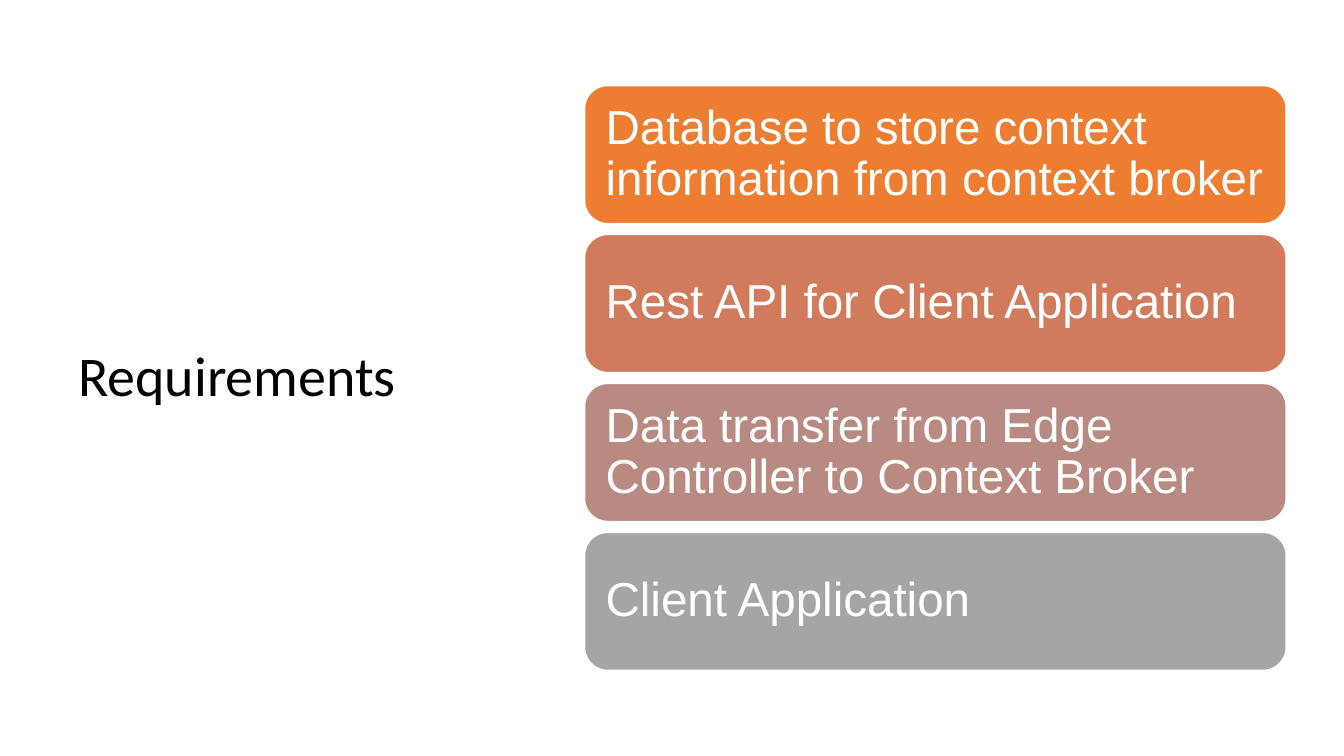
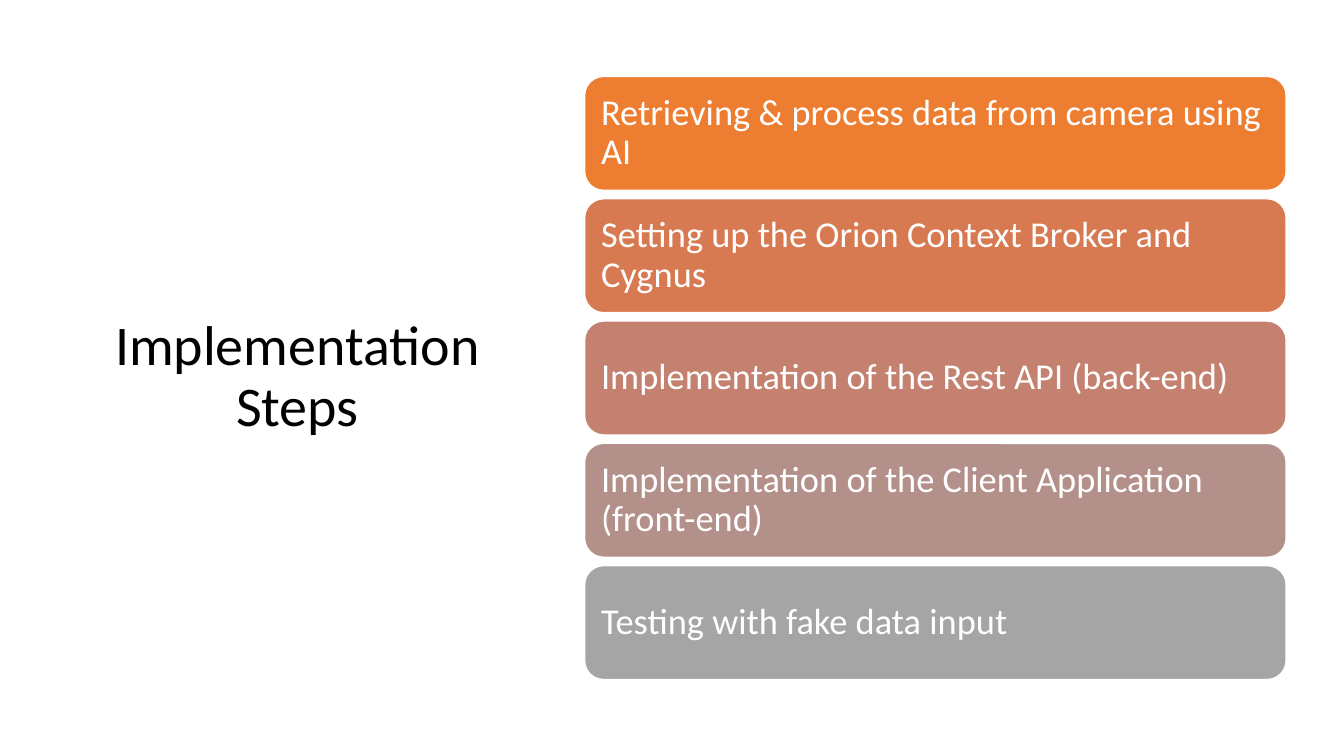
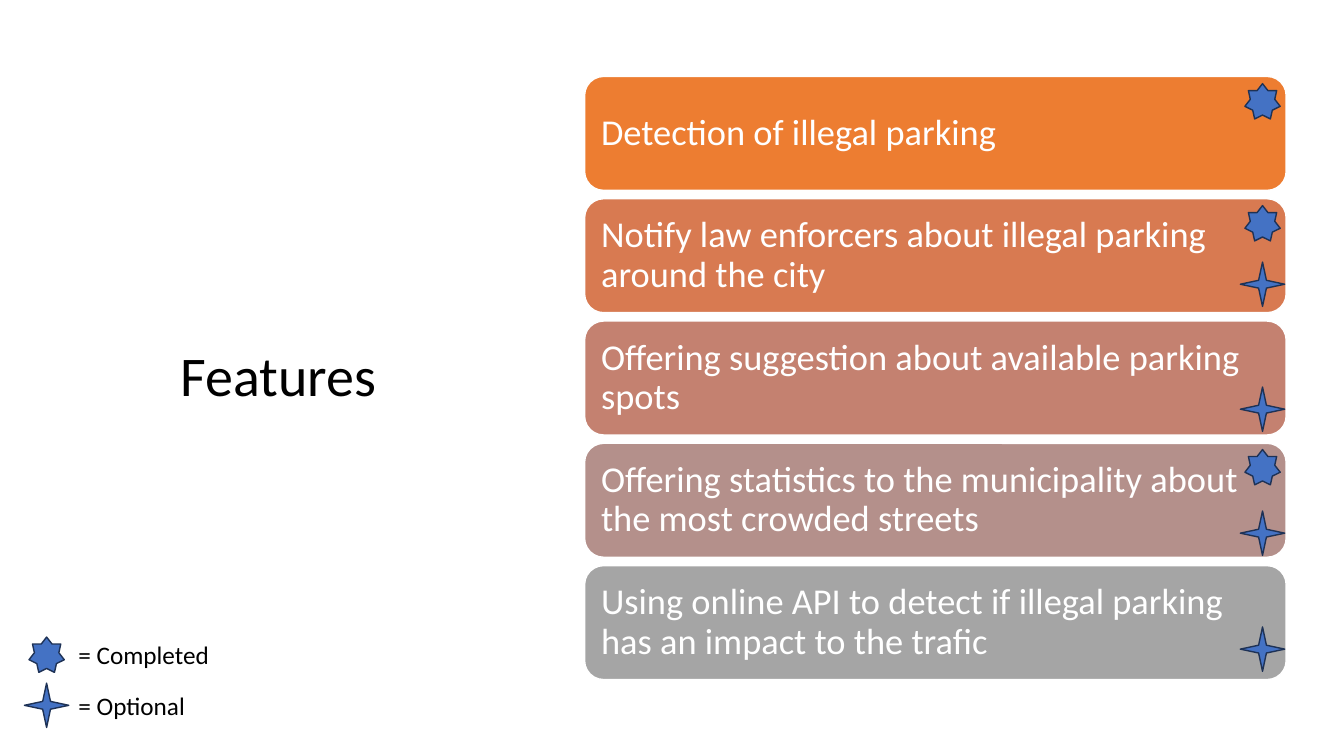
from dataclasses import dataclass

from pptx import Presentation
from pptx import util as u
from pptx.dml.color import RGBColor
from pptx.enum import shapes, text

W, H = u.Inches(13.333), u.Inches(7.5)
SHAPE = shapes.MSO_SHAPE
ALIGN = text.PP_ALIGN


@dataclass(frozen=True)
class Theme:
    font: str = "Calibri"
    alt_font: str = "Arial"
    title_size: int = 40
    large_size: int = 34
    card_size: int = 26
    legend_size: int = 18
    ink: str = "000000"
    paper: str = "FFFFFF"
    marker: str = "4472C4"
    marker_line: str = "1E3256"
    ramp4: tuple = ("ED7D31", "D17B5C", "B98A82", "A5A5A5")
    ramp5: tuple = ("ED7D31", "D87A51", "C48170", "B4908B", "A5A5A5")


THEME = Theme()
MID_ROW = 50
TITLE_COL, TITLE_ROWS = 5.1, 66
CARD_COL, CARD_COLS = 43.5, 52.2
TALL_CARD, SHORT_CARD = 18.25, 15.07
GAP_EM, INSET_EM = 0.23, 0.3
MARKER_COL, LEGEND_COL, LABEL_COLS = 93.94, 3.47, 22.5
COMPLETED = SHAPE.STAR_7_POINT, u.Inches(0.35)
OPTIONAL = SHAPE.STAR_4_POINT, u.Inches(0.44)


def cols(n):
    return int(W * n / 100)


def rows(n):
    return int(H * n / 100)


def apply(target, values):
    for name, value in values.items():
        setattr(target, name, value)


def write(tf, words, size, color, font=THEME.font, frame=None, para=None):
    apply(tf, {"word_wrap": True, "vertical_anchor": text.MSO_ANCHOR.MIDDLE, **(frame or {})})
    p = tf.paragraphs[0]
    apply(p, {"alignment": ALIGN.LEFT, **(para or {})})
    r = p.add_run()
    apply(r, {"text": words})
    apply(r.font, {"name": font, "size": u.Pt(size)})
    r.font.color.rgb = RGBColor.from_string(color)


def add_filled(s, kind, box, fill, line):
    sp = s.shapes.add_shape(kind, *box)
    sp.shadow.inherit = False
    sp.fill.solid()
    sp.fill.fore_color.rgb = RGBColor.from_string(fill)
    sp.line.color.rgb = RGBColor.from_string(line)
    sp.line.width = u.Pt(1)
    return sp


def add_title(s, words, width, align):
    sp = s.shapes.add_textbox(
        cols(TITLE_COL), rows(MID_ROW - TITLE_ROWS / 2), cols(width), rows(TITLE_ROWS))
    write(sp.text_frame, words, THEME.title_size, THEME.ink,
          para={"alignment": align, "line_spacing": 0.9})


def add_cards(s, items, ramp, card_rows, size, font=THEME.font):
    height, gap = rows(card_rows), int(u.Pt(size) * GAP_EM)
    inset = int(u.Pt(size) * INSET_EM)
    margins = {f"margin_{side}": inset for side in ("left", "top", "right", "bottom")}
    top = rows(MID_ROW) - (len(items) * (height + gap) - gap) // 2
    for i, (words, fill) in enumerate(zip(items, ramp)):
        box = cols(CARD_COL), top + i * (height + gap), cols(CARD_COLS), height
        sp = add_filled(s, SHAPE.ROUNDED_RECTANGLE, box, fill, THEME.paper)
        write(sp.text_frame, words, size, THEME.paper, font, margins, {"line_spacing": 0.9})


def add_marker(s, marker, col, row):
    kind, side = marker
    box = cols(col) - side // 2, rows(row) - side // 2, side, side
    add_filled(s, kind, box, THEME.marker, THEME.marker_line)


def add_legend(s, marker, words, row):
    add_marker(s, marker, LEGEND_COL, row)
    height = u.Inches(0.4)
    sp = s.shapes.add_textbox(
        cols(TITLE_COL), rows(row) - height // 2, cols(LABEL_COLS), height)
    write(sp.text_frame, words, THEME.legend_size, THEME.ink)


def new_slide(prs):
    return prs.slides.add_slide(prs.slide_layouts[6])


def requirements(prs):
    s = new_slide(prs)
    add_title(s, "Requirements", 29.55, ALIGN.LEFT)
    add_cards(s, [
        "Database to store context information from context broker",
        "Rest API for Client Application",
        "Data transfer from Edge Controller to Context Broker",
        "Client Application",
    ], THEME.ramp4, TALL_CARD, THEME.large_size, THEME.alt_font)


def implementation(prs):
    s = new_slide(prs)
    add_title(s, "Implementation Steps", 34.05, ALIGN.CENTER)
    add_cards(s, [
        "Retrieving & process data from camera using AI",
        "Setting up the Orion Context Broker and Cygnus",
        "Implementation of the Rest API (back-end)",
        "Implementation of the Client Application (front-end)",
        "Testing with fake data input",
    ], THEME.ramp5, SHORT_CARD, THEME.card_size)


def features(prs):
    s = new_slide(prs)
    add_title(s, "Features", 31.27, ALIGN.CENTER)
    add_cards(s, [
        "Detection of illegal parking",
        "Notify law enforcers about illegal parking around the city",
        "Offering suggestion about available parking spots",
        "Offering statistics to the municipality about the most crowded streets",
        "Using online API to detect if illegal parking has an impact to the trafic",
    ], THEME.ramp5, SHORT_CARD, THEME.card_size)
    for marker, centres in (
        (COMPLETED, (13.4, 29.53, 61.8)),
        (OPTIONAL, (37.6, 54.13, 70.53, 85.87)),
    ):
        for row in centres:
            add_marker(s, marker, MARKER_COL, row)
    add_legend(s, COMPLETED, "= Completed", 86.6)
    add_legend(s, OPTIONAL, "= Optional", 93.3)


def main():
    prs = Presentation()
    apply(prs, {"slide_width": W, "slide_height": H})
    for build in (requirements, implementation, features):
        build(prs)
    prs.save("out.pptx")


if __name__ == "__main__":
    main()
